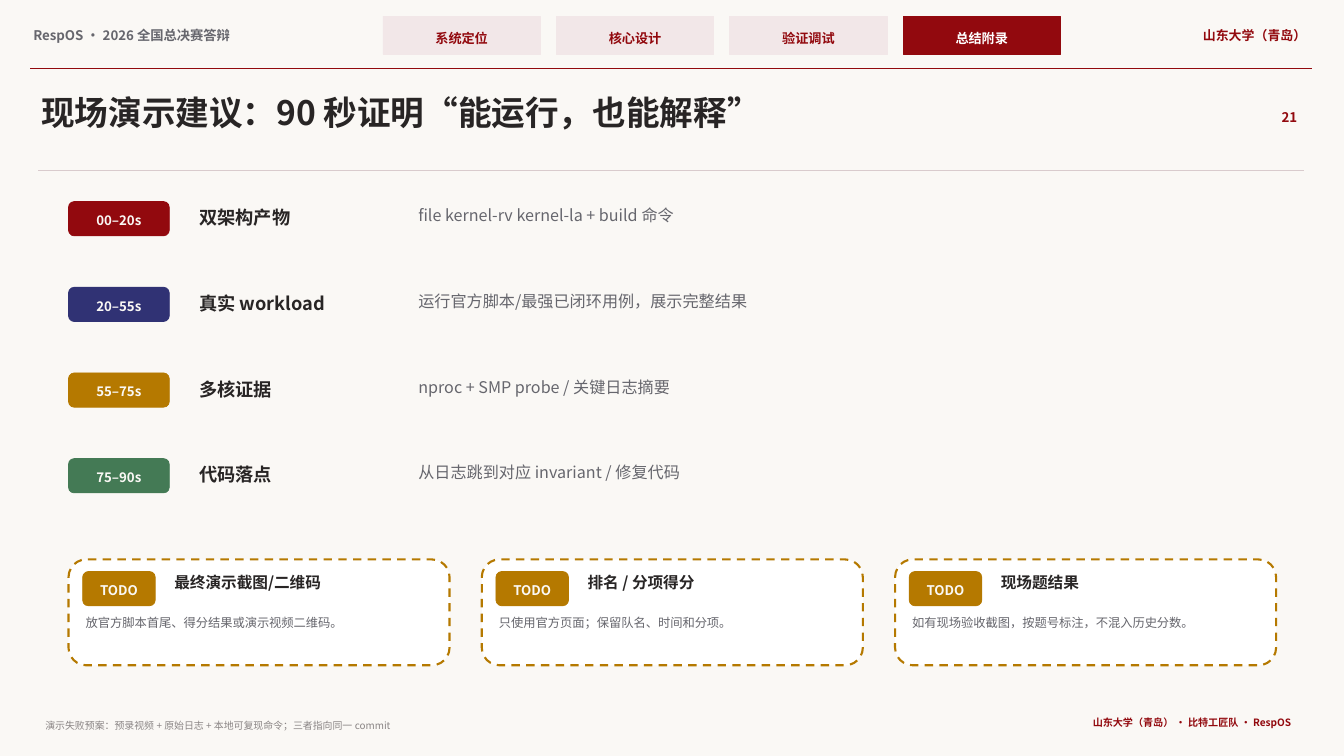
from dataclasses import dataclass

import lxml.etree
import pptx
import pptx.dml.color
import pptx.enum.dml
import pptx.enum.shapes
import pptx.enum.text
import pptx.oxml.ns
import pptx.util

Pt = pptx.util.Pt
SHAPE = pptx.enum.shapes.MSO_SHAPE
ALIGN = pptx.enum.text.PP_ALIGN
ANCHOR = pptx.enum.text.MSO_ANCHOR


@dataclass(frozen=True)
class Theme:
    font: str = "Noto Sans CJK SC"
    paper: str = "FAF8F5"
    white: str = "FFFFFF"
    ink: str = "282525"
    grey: str = "66666D"
    faint: str = "8A8585"
    red: str = "92090E"
    blush: str = "F2E7E8"
    rule: str = "D9CBCD"
    blue: str = "303274"
    gold: str = "B57900"
    green: str = "447A55"
    title: float = 24
    step: float = 13
    detail: float = 11.5
    card_title: float = 11.2
    label: float = 9.5
    tab: float = 9.4
    school: float = 9.2
    card_body: float = 8.8
    signature: float = 7.2
    note: float = 7.1


THEME = Theme()
INSET = 2.16

TABS = ["系统定位", "核心设计", "验证调试", "总结附录"]
CURRENT_TAB = "总结附录"
STEPS = [
    ("00–20s", THEME.red, "双架构产物", "file kernel-rv kernel-la + build 命令"),
    ("20–55s", THEME.blue, "真实 workload", "运行官方脚本/最强已闭环用例，展示完整结果"),
    ("55–75s", THEME.gold, "多核证据", "nproc + SMP probe / 关键日志摘要"),
    ("75–90s", THEME.green, "代码落点", "从日志跳到对应 invariant / 修复代码"),
]
CARDS = [
    ("最终演示截图/二维码", "放官方脚本首尾、得分结果或演示视频二维码。"),
    ("排名 / 分项得分", "只使用官方页面；保留队名、时间和分项。"),
    ("现场题结果", "如有现场验收截图，按题号标注，不混入历史分数。"),
]


def rgb(color):
    return pptx.dml.color.RGBColor.from_string(color)


def write(frame, text, *, size, color, bold=False, align=ALIGN.LEFT,
          anchor=ANCHOR.TOP, drop=0):
    """Fill a text frame with one line; drop is extra inset at the top."""
    frame.word_wrap = True
    frame.vertical_anchor = anchor
    frame.margin_left = frame.margin_right = frame.margin_bottom = Pt(INSET)
    frame.margin_top = Pt(INSET + drop)
    para = frame.paragraphs[0]
    para.alignment = align
    span = para.add_run()
    span.text = text
    span.font.name = THEME.font
    span.font.size = Pt(size)
    span.font.bold = bold
    span.font.color.rgb = rgb(color)
    east_asian = lxml.etree.SubElement(
        span.font._element, pptx.oxml.ns.qn("a:ea"))
    east_asian.set("typeface", THEME.font)


def add_text(slide, left, top, width, height, text, **style):
    box = slide.shapes.add_textbox(Pt(left), Pt(top), Pt(width), Pt(height))
    write(box.text_frame, text, **style)
    box.text_frame.auto_size = pptx.enum.text.MSO_AUTO_SIZE.SHAPE_TO_FIT_TEXT


def add_panel(slide, kind, left, top, width, height, fill, line, weight=0.5):
    panel = slide.shapes.add_shape(
        kind, Pt(left), Pt(top), Pt(width), Pt(height))
    panel.shadow.inherit = False
    panel.fill.solid()
    panel.fill.fore_color.rgb = rgb(fill)
    panel.line.color.rgb = rgb(line)
    panel.line.width = Pt(weight)
    return panel


def add_rule(slide, left, right, y, color, weight):
    rule = slide.shapes.add_connector(
        pptx.enum.shapes.MSO_CONNECTOR.STRAIGHT,
        Pt(left), Pt(y), Pt(right), Pt(y))
    rule.line.color.rgb = rgb(color)
    rule.line.width = Pt(weight)
    lxml.etree.SubElement(
        rule._element.spPr, pptx.oxml.ns.qn("a:effectLst"))


def add_tab(slide, left, text):
    current = text == CURRENT_TAB
    fill = THEME.red if current else THEME.blush
    tab = add_panel(slide, SHAPE.RECTANGLE, left, 11.52, 112.32, 27.36,
                    fill, fill)
    write(tab.text_frame, text, size=THEME.tab, bold=True,
          color=THEME.white if current else THEME.red,
          align=ALIGN.CENTER, anchor=ANCHOR.MIDDLE, drop=4)


def add_badge(slide, left, top, width, text, color):
    badge = add_panel(slide, SHAPE.ROUNDED_RECTANGLE, left, top, width, 24.48,
                      color, color)
    write(badge.text_frame, text, size=THEME.label, bold=True,
          color=THEME.paper, align=ALIGN.CENTER, anchor=ANCHOR.MIDDLE, drop=2)


def add_step(slide, top, time, color, name, detail):
    add_badge(slide, 48.96, top, 72, time, color)
    add_text(slide, 140.4, top + 1.44, 144, 20.16, name,
             size=THEME.step, color=THEME.ink, bold=True)
    add_text(slide, 296.64, top + 0.72, 543.6, 23.04, detail,
             size=THEME.detail, color=THEME.grey)


def add_card(slide, left, title, body):
    top = 399.6
    card = add_panel(slide, SHAPE.ROUNDED_RECTANGLE, left, top, 272.16, 75.6,
                     THEME.white, THEME.gold, 1.5)
    card.line.dash_style = pptx.enum.dml.MSO_LINE.DASH
    add_badge(slide, left + 10.08, top + 8.64, 51.84, "TODO", THEME.gold)
    add_text(slide, left + 73.44, top + 7.2, 187.2, 22.32, title,
             size=THEME.card_title, color=THEME.ink, bold=True)
    add_text(slide, left + 10.08, top + 37.44, 252, 32.4, body,
             size=THEME.card_body, color=THEME.grey)


def add_header(slide):
    add_text(slide, 21.6, 17.28, 241.2, 17.28, "RespOS · 2026 全国总决赛答辩",
             size=THEME.label, color=THEME.grey, bold=True)
    for index, text in enumerate(TABS):
        add_tab(slide, 273.6 + index * 123.84, text)
    add_text(slide, 817.2, 17.28, 118.08, 17.28, "山东大学（青岛）",
             size=THEME.school, color=THEME.red, bold=True, align=ALIGN.RIGHT)
    add_rule(slide, 21.6, 937.44, 48.96, THEME.red, 1.1)


def add_title(slide):
    add_text(slide, 27.36, 63.36, 853.2, 34.56,
             "现场演示建议：90 秒证明“能运行，也能解释”",
             size=THEME.title, color=THEME.ink, bold=True)
    add_text(slide, 898.56, 75.6, 30.24, 17.28, "21",
             size=THEME.label, color=THEME.red, bold=True, align=ALIGN.RIGHT)
    add_rule(slide, 27.36, 931.68, 121.68, THEME.rule, 0.9)


def add_footer(slide):
    add_text(slide, 30.24, 511.92, 698.4, 12.24,
             "演示失败预案：预录视频 + 原始日志 + 本地可复现命令；三者指向同一 commit",
             size=THEME.note, color=THEME.faint)
    add_text(slide, 699.84, 509.76, 224.64, 14.4,
             "山东大学（青岛） · 比特工匠队 · RespOS",
             size=THEME.signature, color=THEME.red, bold=True,
             align=ALIGN.RIGHT)


def main():
    deck = pptx.Presentation()
    deck.slide_width, deck.slide_height = Pt(960), Pt(540)
    slide = deck.slides.add_slide(deck.slide_layouts[6])
    slide.background.fill.solid()
    slide.background.fill.fore_color.rgb = rgb(THEME.paper)
    add_header(slide)
    add_title(slide)
    for index, step in enumerate(STEPS):
        add_step(slide, 144 + index * 61.2, *step)
    for index, card in enumerate(CARDS):
        add_card(slide, 48.96 + index * 295.2, *card)
    add_footer(slide)
    deck.save("out.pptx")


if __name__ == "__main__":
    main()
